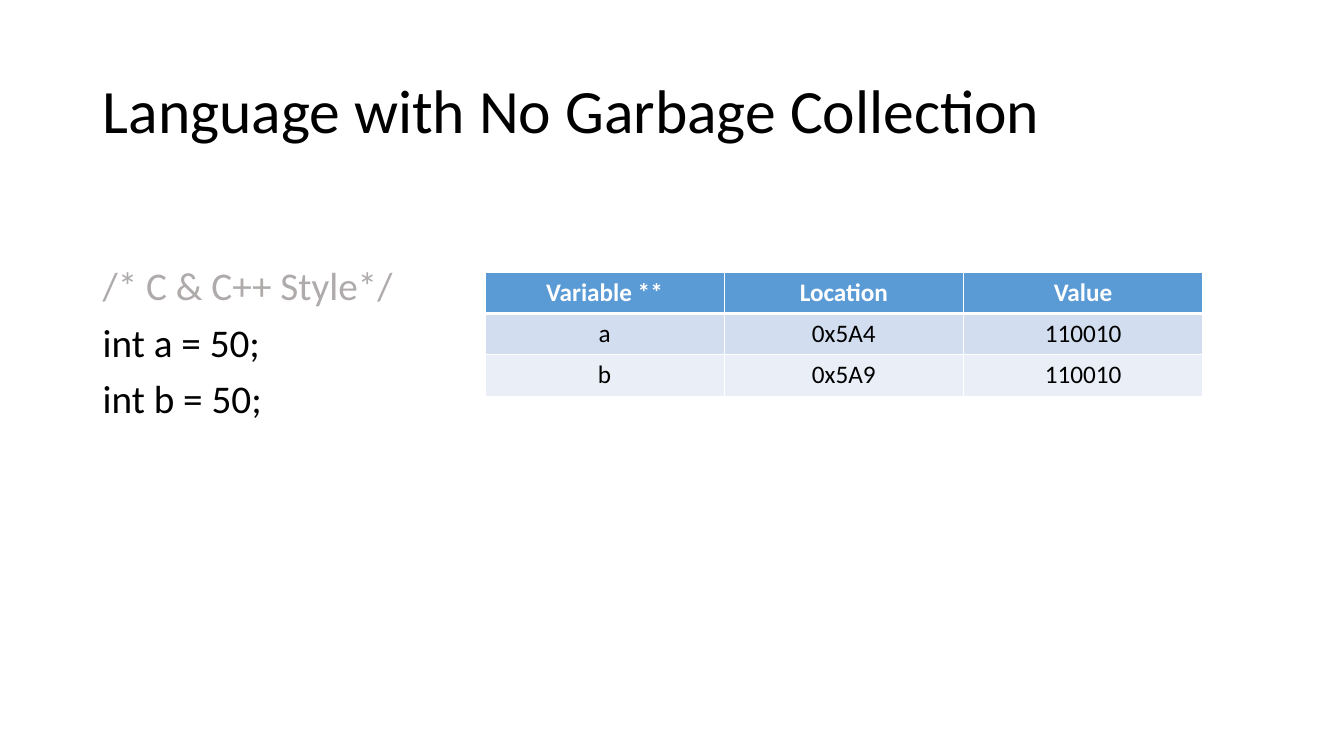
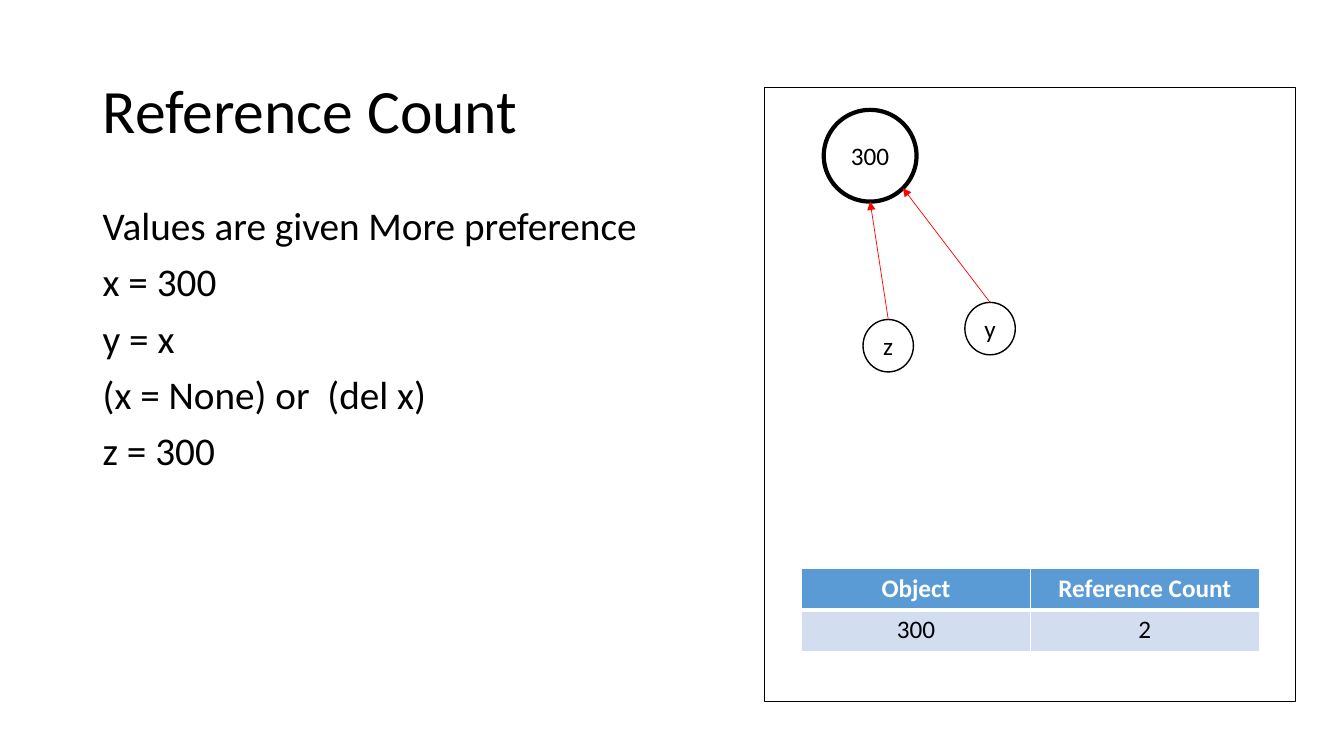
"""Build two slides on variable storage and reference counting."""
from dataclasses import dataclass
from math import cos, radians, sin

from lxml.etree import SubElement
from pptx import Presentation
from pptx.dml.color import RGBColor
from pptx.enum.shapes import MSO_CONNECTOR, MSO_SHAPE
from pptx.enum.text import MSO_ANCHOR, PP_ALIGN
from pptx.oxml.ns import qn
from pptx.presentation import Presentation as Deck
from pptx.shapes.autoshape import Shape
from pptx.slide import Slide
from pptx.table import _Cell
from pptx.text.text import TextFrame, _Paragraph
from pptx.util import Inches, Pt


@dataclass(frozen=True)
class Theme:
    """Colours, font and point sizes shared by the slides."""

    font: str = "Calibri"
    ink: str = "000000"
    paper: str = "FFFFFF"
    remark: str = "AFABAB"
    arrow: str = "FF0000"
    header: str = "5B9BD5"
    bands: tuple[str, str] = ("D2DEEF", "EAEFF7")
    title_size: float = 44
    body_size: float = 28
    label_size: float = 18
    thin: float = 1
    thick: float = 3
    arrow_width: float = 0.5


@dataclass(frozen=True)
class Box:
    """A rectangle in inches."""

    left: float
    top: float
    width: float
    height: float

    def lengths(self) -> tuple[Inches, Inches, Inches, Inches]:
        """Return the position and size as lengths."""
        return Inches(self.left), Inches(self.top), Inches(self.width), Inches(self.height)

    def rim(self, degrees: float) -> tuple[Inches, Inches]:
        """Return the point of the inscribed ellipse at a clockwise angle from the right."""
        angle = radians(degrees)
        x = self.left + self.width / 2 * (1 + cos(angle))
        y = self.top + self.height / 2 * (1 + sin(angle))
        return Inches(x), Inches(y)


@dataclass(frozen=True)
class Line:
    """One line of body text."""

    text: str
    color: str


@dataclass(frozen=True)
class Reference:
    """A named circle whose arrow meets the object at an angle."""

    name: str
    box: Box
    angle: float


THEME = Theme()
TITLE_BOX = Box(0.92, 0.4, 11.5, 1.45)
ROW_HEIGHT = 0.41


def color_of(value: str) -> RGBColor:
    """Turn a hexadecimal string into a colour."""
    return RGBColor.from_string(value)


def format_paragraph(paragraph: _Paragraph, size: float, color: str, bold: bool = False) -> None:
    """Apply the theme font to every run of a paragraph."""
    for run in paragraph.runs:
        run.font.name = THEME.font
        run.font.size = Pt(size)
        run.font.bold = bold
        run.font.color.rgb = color_of(color)


def add_text(slide: Slide, box: Box, lines: list[Line], size: float) -> TextFrame:
    """Add a wrapped text box with one paragraph per line."""
    frame = slide.shapes.add_textbox(*box.lengths()).text_frame
    frame.word_wrap = True
    frame.text = "\n".join(line.text for line in lines)
    for paragraph, line in zip(frame.paragraphs, lines):
        paragraph.line_spacing = 0.9
        format_paragraph(paragraph, size, line.color)
    return frame


def add_titled_slide(presentation: Deck, title: str) -> Slide:
    """Add a blank slide with the shared title style."""
    slide = presentation.slides.add_slide(presentation.slide_layouts[6])
    frame = add_text(slide, TITLE_BOX, [Line(title, THEME.ink)], THEME.title_size)
    frame.vertical_anchor = MSO_ANCHOR.MIDDLE
    return slide


def add_body(slide: Slide, box: Box, lines: list[Line]) -> None:
    """Add body lines with the shared paragraph gap."""
    for paragraph in add_text(slide, box, lines, THEME.body_size).paragraphs:
        paragraph.space_before = Pt(10)


def set_borders(cell: _Cell, top: float, bottom: float) -> None:
    """Draw the four paper-coloured borders of a cell."""
    properties = cell._tc.get_or_add_tcPr()
    widths = {"a:lnL": THEME.thin, "a:lnR": THEME.thin, "a:lnT": top, "a:lnB": bottom}
    for tag, width in widths.items():
        border = SubElement(properties, qn(tag), w=str(Pt(width)))
        fill = SubElement(border, qn("a:solidFill"))
        SubElement(fill, qn("a:srgbClr"), val=THEME.paper)


def add_data_table(slide: Slide, left: float, top: float, width: float, rows: list[list[str]]) -> None:
    """Add a centred table with a header row and banded body rows."""
    box = Box(left, top, width, ROW_HEIGHT * len(rows))
    table = slide.shapes.add_table(len(rows), len(rows[0]), *box.lengths()).table
    for row_index, row in enumerate(rows):
        is_header = row_index == 0
        fill = THEME.header if is_header else THEME.bands[(row_index - 1) % 2]
        ink = THEME.paper if is_header else THEME.ink
        for column_index, text in enumerate(row):
            cell = table.cell(row_index, column_index)
            set_borders(
                cell,
                top=THEME.thick if row_index == 1 else THEME.thin,
                bottom=THEME.thick if is_header else THEME.thin,
            )
            cell.fill.solid()
            cell.fill.fore_color.rgb = color_of(fill)
            cell.text_frame.text = text
            paragraph = cell.text_frame.paragraphs[0]
            paragraph.alignment = PP_ALIGN.CENTER
            format_paragraph(paragraph, THEME.label_size, ink, bold=is_header)


def add_outline(slide: Slide, kind: MSO_SHAPE, box: Box, width: float) -> Shape:
    """Add a paper-filled shape with an ink outline."""
    shape = slide.shapes.add_shape(kind, *box.lengths())
    shape.shadow.inherit = False
    shape.fill.solid()
    shape.fill.fore_color.rgb = color_of(THEME.paper)
    shape.line.color.rgb = color_of(THEME.ink)
    shape.line.width = Pt(width)
    return shape


def add_circle(slide: Slide, box: Box, label: str, width: float) -> None:
    """Add a circle with a centred label."""
    frame = add_outline(slide, MSO_SHAPE.OVAL, box, width).text_frame
    frame.text = label
    frame.vertical_anchor = MSO_ANCHOR.MIDDLE
    paragraph = frame.paragraphs[0]
    paragraph.alignment = PP_ALIGN.CENTER
    format_paragraph(paragraph, THEME.label_size, THEME.ink)


def add_reference(slide: Slide, reference: Reference, target: Box) -> None:
    """Add a named circle and its arrow to the target circle."""
    add_circle(slide, reference.box, reference.name, THEME.thin)
    start, end = reference.box.rim(270), target.rim(reference.angle)
    connector = slide.shapes.add_connector(MSO_CONNECTOR.STRAIGHT, *start, *end)
    connector.line.color.rgb = color_of(THEME.arrow)
    connector.line.width = Pt(THEME.arrow_width)
    SubElement(connector.line._get_or_add_ln(), qn("a:tailEnd"), type="triangle")
    SubElement(connector._element.spPr, qn("a:effectLst"))


def build_storage_slide(presentation: Deck) -> None:
    """Build the slide on languages without garbage collection."""
    slide = add_titled_slide(presentation, "Language with No Garbage Collection")
    lines = [
        Line("/* C & C++ Style*/", THEME.remark),
        Line("int a = 50;", THEME.ink),
        Line("int b = 50;", THEME.ink),
    ]
    add_body(slide, Box(0.92, 2.6, 11.5, 4.16), lines)
    rows = [
        ["Variable **", "Location", "Value"],
        ["a", "0x5A4", "110010"],
        ["b", "0x5A9", "110010"],
    ]
    add_data_table(slide, 4.81, 2.7, 7.12, rows)


def build_reference_slide(presentation: Deck) -> None:
    """Build the slide on reference counts."""
    slide = add_titled_slide(presentation, "Reference Count")
    texts = [
        "Values are given More preference",
        "x = 300",
        "y = x",
        "(x = None) or  (del x)",
        "z = 300",
    ]
    add_body(slide, Box(0.92, 2, 11.5, 4.76), [Line(text, THEME.ink) for text in texts])
    add_outline(slide, MSO_SHAPE.RECTANGLE, Box(7.58, 0.87, 5.27, 6.09), THEME.thin)
    value_box = Box(8.17, 1.09, 0.92, 0.91)
    add_circle(slide, value_box, "300", THEME.thick)
    references = [
        Reference("y", Box(9.57, 3, 0.5, 0.52), 45),
        Reference("z", Box(8.56, 3.17, 0.5, 0.52), 90),
    ]
    for reference in references:
        add_reference(slide, reference, value_box)
    add_data_table(slide, 7.95, 5.64, 4.54, [["Object", "Reference Count"], ["300", "2"]])


def main() -> None:
    """Build and save the presentation."""
    presentation = Presentation()
    presentation.slide_width = Inches(13.33)
    presentation.slide_height = Inches(7.5)
    build_storage_slide(presentation)
    build_reference_slide(presentation)
    presentation.save("out.pptx")


main()
